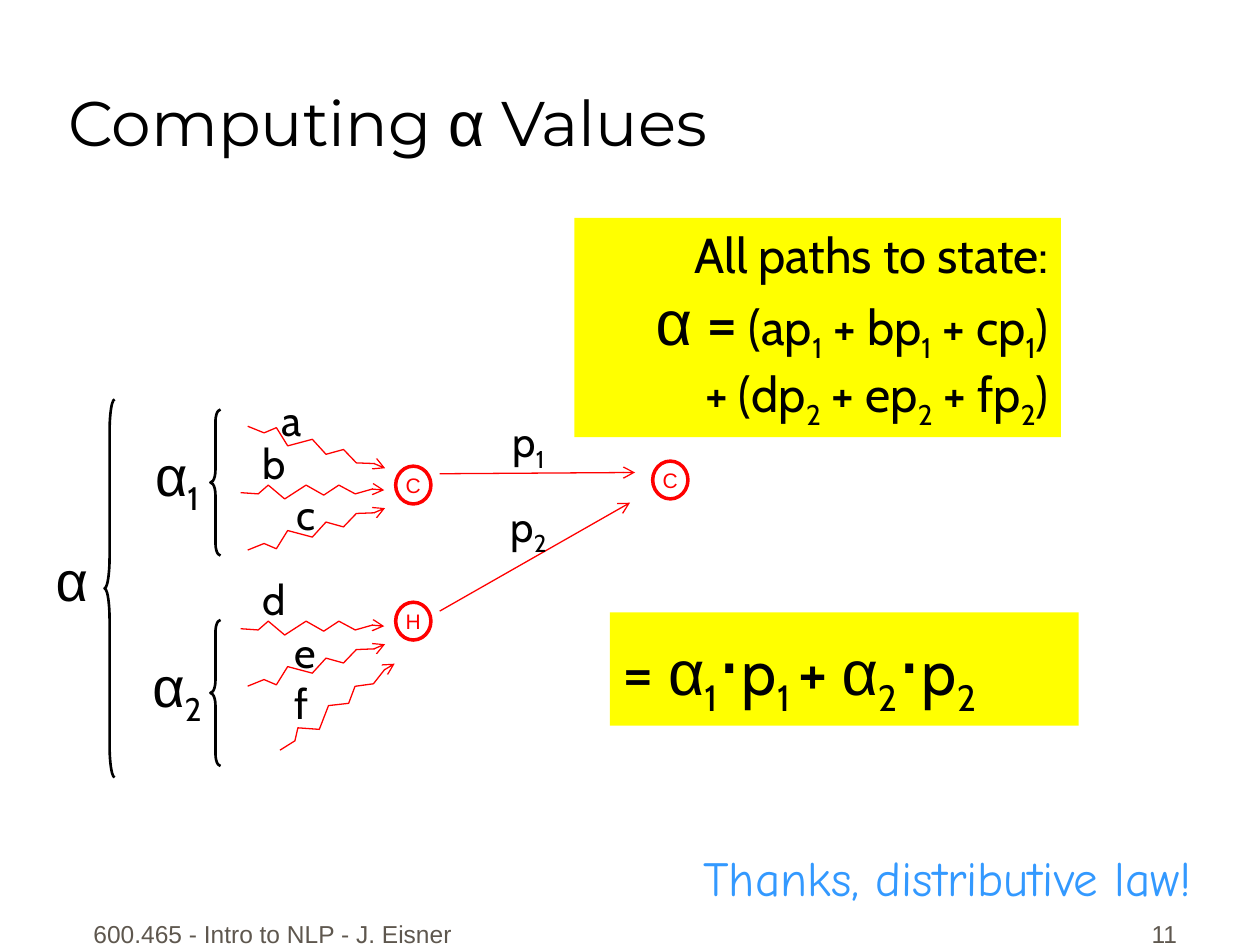
import pptx
import pptx.util
import pptx.dml.color
import pptx.enum.shapes
import pptx.enum.text
import pptx.oxml.ns
from lxml import etree

Inches = pptx.util.Inches
Pt = pptx.util.Pt
Shape = pptx.enum.shapes.MSO_SHAPE
Align = pptx.enum.text.PP_ALIGN
Anchor = pptx.enum.text.MSO_ANCHOR
qn = pptx.oxml.ns.qn

COLORS = {"black": "000000", "red": "FF0000", "yellow": "FFFF00",
          "gray": "5E574E", "blue": "3399FF"}

# text, size, font, subscript
TITLE = [("Computing ", 36, "Montserrat", False), ("α", 36, "Arial", False),
         (" Values", 36, "Montserrat", False)]
FOOTERS = [("600.465 - Intro to NLP - J. Eisner", (0.58, 7.08, 3.17, 0.5), Align.CENTER),
           ("11", (7.36, 7.08, 2.08, 0.5), Align.RIGHT)]
THANKS = ("Thanks, distributive law!", (5.48, 6.68, 4.08, 0.57))


def path_sum(first, rest, number):
    parts = [first] + [f" + {letter}p" for letter in rest]
    spans = []
    for part in parts:
        spans += [(part, 28, "Cabin", False), (number, 28, "Cabin", True)]
    return spans + [(")", 28, "Cabin", False)]


def product(number, gap):
    return [("α", 36, "Arial", False), (number, 36, "Cabin", True),
            ("⋅", 44, "Arial", False), ("p", 36, "Cabin", False),
            (number + gap, 36, "Cabin", True)]


ALL_PATHS = [
    [("All paths to state:", 28, "Cabin", False)],
    [("α", 36, "Arial", False), (" =", 36, "Cabin", False)]
    + path_sum(" (ap", "bc", "1") + [("\n", 28, "Cabin", False)] + path_sum("+ (dp", "ef", "2"),
]
FACTORED = [[("= ", 36, "Cabin", False)] + product("1", " ")
            + [("+ ", 36, "Cabin", False)] + product("2", "")]
FORMULAS = [(ALL_PATHS, (4.56, 1.73, 3.86, 1.74), Align.RIGHT),
            (FACTORED, (4.84, 4.86, 3.72, 0.9), Align.LEFT)]

STATES = [("C", 5.18, 3.66), ("C", 3.14, 3.7), ("H", 3.14, 4.78)]
ARCS = [((3.49, 3.76), (5.04, 3.75)), ((3.49, 4.85), (5, 3.99))]
ARC_LABELS = [("1", 3.25), ("2", 3.92)]

ZIGZAG_SIZE = (1.14, 0.11)
ZIGZAG = [(1.14, 0.04), (1.05, 0.03), (0.91, 0.07), (0.78, 0), (0.66, 0.08),
          (0.52, 0), (0.35, 0.11), (0.22, 0), (0.14, 0.07), (0, 0.06)]
# left, top, rotation, mirrored
PATHS = [(1.94, 3.5, 18, False), (1.91, 3.85, 0, False), (1.94, 4.14, 342, True),
         (1.91, 4.93, 0, False), (1.94, 5.22, 342, True), (2.11, 5.56, 324, False)]
PATH_LABELS = [("a", 2.12, 3.08, 0.38), ("b", 1.98, 3.42, 0.4), ("c", 2.25, 3.83, 0.36),
               ("d", 1.98, 4.5, 0.4), ("e", 2.23, 4.92, 0.39), ("f", 2.24, 5.33, 0.31)]
# brace box, subscript, label box
BRACES = [((1.67, 3.25, 0.08, 1.16), "1", (1.09, 3.45, 0.63, 0.71)),
          ((1.67, 4.92, 0.08, 1.16), "2", (1.09, 5.12, 0.63, 0.71)),
          ((0.83, 3.17, 0.08, 3), "", (0.33, 4.28, 0.48, 0.64))]


def rgb(name):
    return pptx.dml.color.RGBColor.from_string(COLORS[name])


def lengths(values):
    return [Inches(value) for value in values]


def write(shape, paragraphs, color="black", align=Align.CENTER, anchor=Anchor.TOP,
          wrap=False, before=0):
    frame = shape.text_frame
    frame.word_wrap = wrap
    frame.vertical_anchor = anchor
    for index, spans in enumerate(paragraphs):
        para = frame.add_paragraph() if index else frame.paragraphs[0]
        para.alignment = align
        para.space_before = Pt(before)
        for text, size, font, subscript in spans:
            if text == "\n":
                para.add_line_break()
                continue
            span = para.add_run()
            span.text = text
            span.font.size = Pt(size)
            span.font.name = font
            span.font.color.rgb = rgb(color)
            if subscript:
                span.font._element.set("baseline", "-25000")


def add_text(shapes, box, spans, **style):
    write(shapes.add_textbox(*lengths(box)), [spans], **style)


def outline(shape, color, width):
    shape.shadow.inherit = False
    shape.fill.background()
    shape.line.color.rgb = rgb(color)
    shape.line.width = Pt(width)


def add_arrowhead(shape, end):
    line = shape._element.spPr.find(qn("a:ln"))
    etree.SubElement(line, qn(f"a:{end}"), type="arrow")


def add_zigzag(shapes, left, top, rotation, mirrored):
    height = ZIGZAG_SIZE[1]
    points = [lengths((left + x, top + (height - y if mirrored else y))) for x, y in ZIGZAG]
    builder = shapes.build_freeform(*points[0])
    builder.add_line_segments(points[1:], close=False)
    zigzag = builder.convert_to_shape()
    zigzag.rotation = rotation
    outline(zigzag, "red", 0.75)
    add_arrowhead(zigzag, "headEnd")


def add_arc(shapes, start, end):
    arc = shapes.add_connector(pptx.enum.shapes.MSO_CONNECTOR.STRAIGHT, *lengths(start + end))
    arc.line.color.rgb = rgb("red")
    arc.line.width = Pt(0.75)
    add_arrowhead(arc, "tailEnd")
    etree.SubElement(arc._element.spPr, qn("a:effectLst"))


def add_brace(shapes, box, subscript, label_box):
    group = shapes.add_group_shape()
    brace = group.shapes.add_shape(Shape.LEFT_BRACE, *lengths(box))
    brace.adjustments[0] = box[3] / 12 / box[2]
    outline(brace, "black", 1.5)
    spans = [("α", 32, "Arial", False)]
    if subscript:
        spans.append((subscript, 32, "Cabin", True))
    add_text(group.shapes, label_box, spans)


def main():
    deck = pptx.Presentation()
    deck.slide_width, deck.slide_height = Inches(10), Inches(7.5)
    page = deck.slides.add_slide(deck.slide_layouts[5])
    shapes = page.shapes

    title = shapes.title
    title.left, title.top, title.width, title.height = lengths((0.44, 0.06, 9.31, 1.25))
    write(title, [TITLE], align=Align.LEFT, anchor=Anchor.BOTTOM, wrap=True)

    for text, box, align in FOOTERS:
        add_text(shapes, box, [(text, 14, "Arial", False)], color="gray", align=align,
                 anchor=Anchor.BOTTOM, wrap=True, before=8.8)

    for paragraphs, box, align in FORMULAS:
        panel = shapes.add_shape(Shape.RECTANGLE, *lengths(box))
        panel.shadow.inherit = False
        panel.fill.solid()
        panel.fill.fore_color.rgb = rgb("yellow")
        panel.line.fill.background()
        write(panel, paragraphs, align=align, wrap=True)

    for name, left, top in STATES:
        state = shapes.add_shape(Shape.OVAL, *lengths((left, top, 0.28, 0.3)))
        outline(state, "red", 2)
        write(state, [[(name, 12, "Arial", False)]], color="red", anchor=Anchor.MIDDLE)

    for start, end in ARCS:
        add_arc(shapes, start, end)
    for number, top in ARC_LABELS:
        add_text(shapes, (3.94, top, 0.51, 0.56),
                 [("p", 24, "Cabin", False), (number, 24, "Cabin", True)])

    for path_place in PATHS:
        add_zigzag(shapes, *path_place)
    for letter, left, top, width in PATH_LABELS:
        add_text(shapes, (left, top, width, 0.5), [(letter, 24, "Cabin", False)])

    for brace_place in BRACES:
        add_brace(shapes, *brace_place)

    text, box = THANKS
    add_text(shapes, box, [(text, 28, "Comic Neue", False)], color="blue")
    deck.save("out.pptx")


if __name__ == "__main__":
    main()
